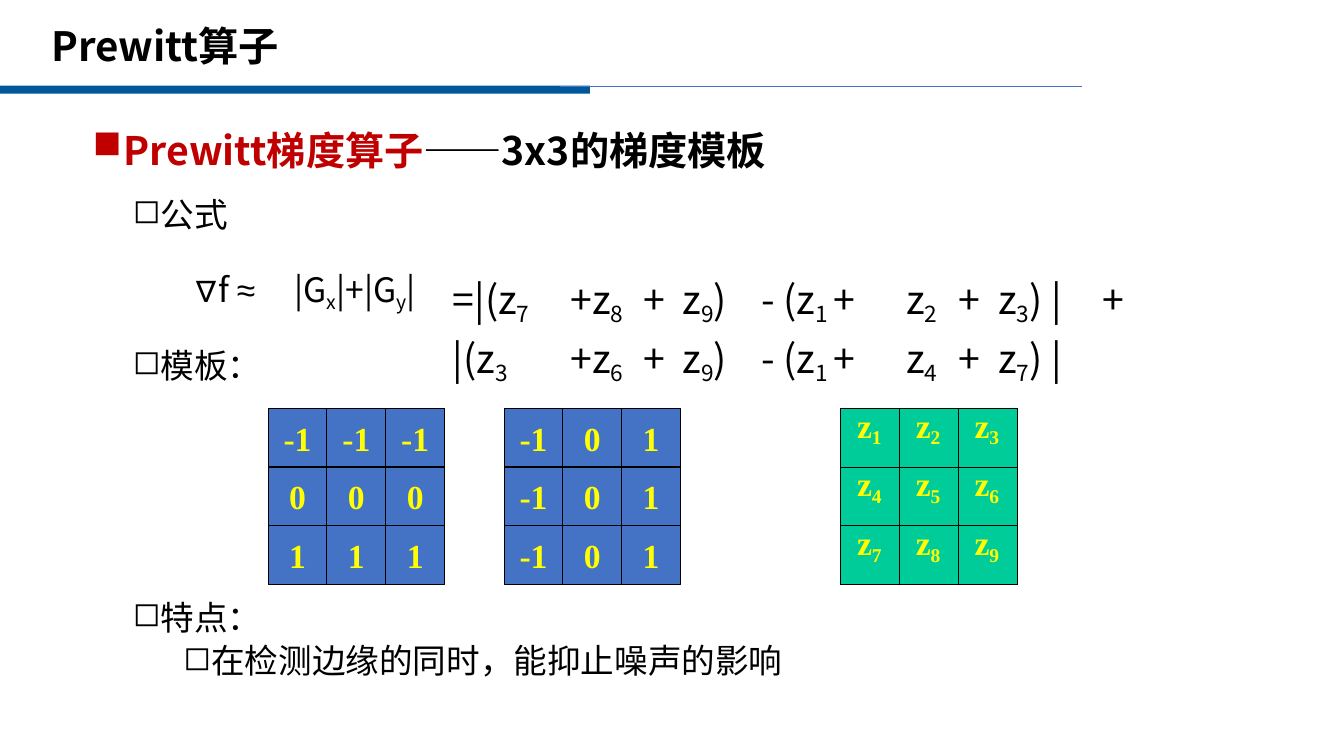
"""Build a slide about the Prewitt gradient operator."""
from lxml import etree
from pptx import Presentation
from pptx.dml.color import RGBColor
from pptx.enum.shapes import MSO_CONNECTOR, MSO_SHAPE
from pptx.enum.text import MSO_ANCHOR, PP_ALIGN
from pptx.oxml.ns import qn
from pptx.util import Inches, Pt

RECTANGLE = MSO_SHAPE.RECTANGLE
STRAIGHT = MSO_CONNECTOR.STRAIGHT
TOP, MIDDLE = MSO_ANCHOR.TOP, MSO_ANCHOR.MIDDLE
CENTER = PP_ALIGN.CENTER

SANS, SYMBOL, SERIF = "Noto Sans CJK SC", "Arial", "Times New Roman"
BLACK, RED, BLUE, NAVY = "000000", "C00000", "4472C4", "00579A"
GREEN, YELLOW = "00CC99", "FFFF00"
CELL = 0.583
GRID_TOP = 4.05

TITLE = "Prewitt算子"
HEADING = [("Prewitt梯度算子", RED), ("——3x3的梯度模板", BLACK)]
BODY = [
    {"text": "公式", "indent": 0.25, "before": 0},
    {"text": "模板：", "indent": 0.25, "before": 82},
    {"text": "特点：", "indent": 0.25, "before": 154},
    {"text": "在检测边缘的同时，能抑止噪声的影响", "indent": 0.75, "before": 5},
]
GRADIENT = [("∇", SYMBOL), ("f ", SANS), ("≈\t", SYMBOL), ("|G_x_|+|G_y_|", SANS)]
EXPANSION = [
    ["=|(z_7", "+z_8", "+", "z_9_)", "- (z_1 _+", "z_2", "+", "z_3_) |", "+"],
    ["|(z_3", "+z_6", "+", "z_9_)", "- (z_1 _+", "z_4", "+", "z_7_) |", ""],
]
EXPANSION_WIDTHS = [1.08, 0.75, 0.39, 0.75, 1.47, 0.52, 0.39, 1.04, 0.33]
EXPANSION_INDENTS = [0.04, 0.13, 0.1, 0.1, 0.13, 0.1, 0.1, 0.1, 0.1]
KERNELS = [
    (5.0, [["-1", "0", "1"]] * 3),
    (2.66, [["-1"] * 3, ["0"] * 3, ["1"] * 3]),
]
NEIGHBOURS = [[f"z_{3 * row + column + 1}" for column in range(3)] for row in range(3)]


def rgb(value):
    return RGBColor.from_string(value)


def set_all(target, values):
    for name, value in values.items():
        setattr(target, name, value)


def write(paragraph, text, size, font=SANS, color=BLACK, bold=False):
    for index, part in enumerate(text.split("_")):
        if not part:
            continue
        run = paragraph.add_run()
        run.text = part
        set_all(run.font, {"size": Pt(size), "name": font, "bold": bold})
        run.font.color.rgb = rgb(color)
        properties = run._r.get_or_add_rPr()
        etree.SubElement(properties, qn("a:ea")).set("typeface", font)
        if index % 2:
            properties.set("baseline", "-20000")


def indent(paragraph, left, hanging=0.0, bullet=None):
    properties = paragraph._p.get_or_add_pPr()
    properties.set("marL", str(Inches(left)))
    properties.set("indent", str(Inches(-hanging)))
    if bullet:
        etree.SubElement(properties, qn("a:buChar")).set("char", bullet)


def add_text_frame(slide, left, top, width, height, anchor=TOP):
    box = slide.shapes.add_textbox(*map(Inches, (left, top, width, height)))
    set_all(box.text_frame, {"word_wrap": True, "vertical_anchor": anchor})
    return box.text_frame


def add_rectangle(shapes, left, top, width, height, fill, line=None):
    shape = shapes.add_shape(RECTANGLE, *map(Inches, (left, top, width, height)))
    shape.shadow.inherit = False
    shape.fill.solid()
    shape.fill.fore_color.rgb = rgb(fill)
    if line:
        shape.line.color.rgb = rgb(line)
        shape.line.width = Pt(0.75)
    else:
        shape.line.fill.background()
    return shape


def add_kernel(slide, left, values):
    group = slide.shapes.add_group_shape()
    for row, line in enumerate(values):
        for column, value in enumerate(line):
            shape = add_rectangle(group.shapes, left + column * CELL,
                                  GRID_TOP + row * CELL, CELL, CELL, BLUE, BLACK)
            set_all(shape.text_frame, {"word_wrap": False, "vertical_anchor": MIDDLE})
            paragraph = shape.text_frame.paragraphs[0]
            paragraph.alignment = CENTER
            write(paragraph, value, 24, SERIF, YELLOW, True)


def add_borders(cell):
    properties = cell._tc.get_or_add_tcPr()
    for index, side in enumerate(("lnL", "lnR", "lnT", "lnB")):
        line = etree.Element(qn(f"a:{side}"), w=str(Pt(0.75)))
        fill = etree.SubElement(line, qn("a:solidFill"))
        etree.SubElement(fill, qn("a:srgbClr")).set("val", BLACK)
        properties.insert(index, line)


def add_grid(slide, left, top, values, widths, indents, text_format, fill=None):
    frame = slide.shapes.add_table(len(values), len(widths), *map(
        Inches, (left, top, sum(widths), CELL * len(values))))
    table = frame.table
    set_all(table, {"first_row": False, "horz_banding": False})
    for column, width in zip(table.columns, widths):
        column.width = Inches(width)
    for row, line in enumerate(values):
        for column, value in enumerate(line):
            cell = table.cell(row, column)
            set_all(cell, dict.fromkeys(
                ("margin_left", "margin_right", "margin_top", "margin_bottom"), 0))
            if fill:
                cell.fill.solid()
                cell.fill.fore_color.rgb = rgb(fill)
                add_borders(cell)
            else:
                cell.fill.background()
            paragraph = cell.text_frame.paragraphs[0]
            indent(paragraph, indents[column])
            write(paragraph, value, **text_format)


def add_header(slide):
    add_rectangle(slide.shapes, 0, 0.85, 5.85, 0.08, NAVY)
    rule = slide.shapes.add_connector(STRAIGHT, *map(Inches, (5.55, 0.86, 10.73, 0.86)))
    rule.line.color.rgb = rgb(BLUE)
    rule.line.width = Pt(1)
    etree.SubElement(rule._element.spPr, qn("a:effectLst"))
    title = add_text_frame(slide, 0.41, 0.22, 12.44, 0.53, MIDDLE).paragraphs[0]
    title.line_spacing = 0.9
    write(title, TITLE, 28.8, bold=True)


def add_body(slide):
    frame = add_text_frame(slide, 1.22, 1.91, 9, 5.37)
    for index, item in enumerate(BODY):
        paragraph = frame.add_paragraph() if index else frame.paragraphs[0]
        set_all(paragraph, {"line_spacing": Pt(26), "space_before": Pt(item["before"])})
        indent(paragraph, item["indent"], 0.25, "◻")
        write(paragraph, item["text"], 24)


def add_gradient(slide):
    frame = add_text_frame(slide, 1.91, 2.67, 2.5, 0.48)
    set_all(frame, dict.fromkeys(
        ("margin_left", "margin_right", "margin_top", "margin_bottom"), 0))
    paragraph = frame.paragraphs[0]
    indent(paragraph, 0.01)
    tabs = etree.SubElement(paragraph._p.get_or_add_pPr(), qn("a:tabLst"))
    etree.SubElement(tabs, qn("a:tab"), pos=str(Inches(1.09)), algn="l")
    for text, font in GRADIENT:
        write(paragraph, text, 24, font)


def add_heading(slide):
    paragraph = add_text_frame(slide, 0.8, 1.2, 7.71, 0.57).paragraphs[0]
    indent(paragraph, 0.33, 0.31, "■")
    for text, color in HEADING:
        write(paragraph, text, 28, color=color, bold=True)


def main():
    presentation = Presentation()
    set_all(presentation, {"slide_width": Inches(13.33), "slide_height": Inches(7.5)})
    slide = presentation.slides.add_slide(presentation.slide_layouts[6])
    add_header(slide)
    add_body(slide)
    for left, values in KERNELS:
        add_kernel(slide, left, values)
    add_grid(slide, 8.34, GRID_TOP, NEIGHBOURS, [CELL] * 3, [0.16] * 3,
             {"size": 24, "font": SERIF, "color": YELLOW, "bold": True}, GREEN)
    add_gradient(slide)
    add_grid(slide, 4.45, 2.67, EXPANSION, EXPANSION_WIDTHS, EXPANSION_INDENTS,
             {"size": 28})
    add_heading(slide)
    presentation.save("out.pptx")


if __name__ == "__main__":
    main()
